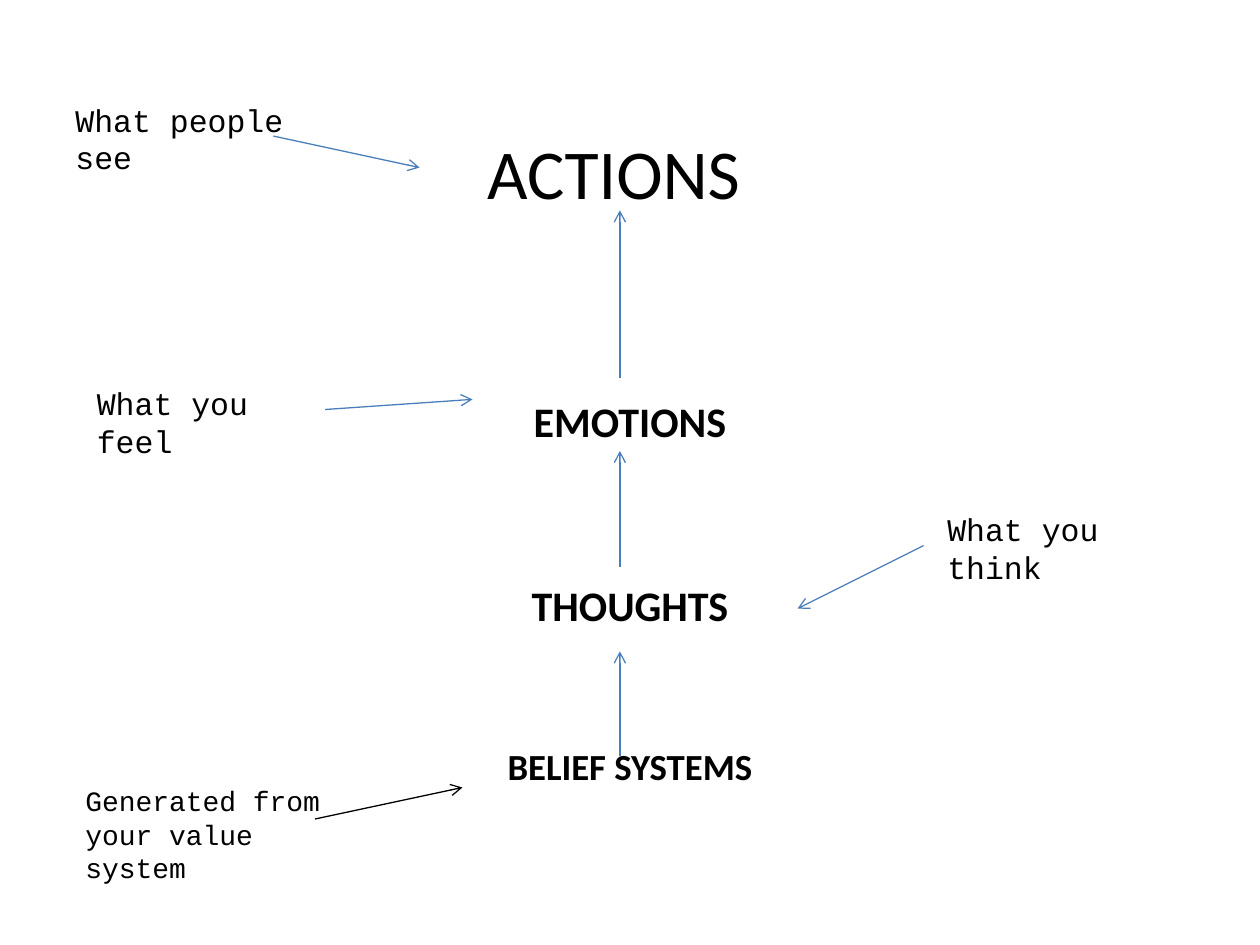
from typing import NamedTuple

from lxml import etree
from pptx import Presentation
from pptx.dml.color import RGBColor
from pptx.enum import shapes, text
from pptx.oxml.ns import qn
from pptx.util import Inches, Pt

BLACK, BLUE = "000000", "4A7EBB"
AXIS_X = 4.92


class Level(NamedTuple):
    text: str
    size: float
    space_before: float


class Note(NamedTuple):
    text: str
    left: float
    top: float
    width: float
    height: float
    size: float = 18


class Arrow(NamedTuple):
    x1: float
    y1: float
    x2: float
    y2: float
    color: str = BLUE


LEVELS = [
    Level("EMOTIONS", 24, 0),
    Level("THOUGHTS", 24, 81.7),
    Level("BELIEF SYSTEMS", 21, 70.1),
]
NOTES = [
    Note("What people see", 0.5, 0.75, 2, 0.7),
    Note("What you feel", 0.67, 3, 2.08, 0.7),
    Note("What you think", 7.42, 4, 2.17, 0.7),
    Note("Generated from your value system", 0.58, 6.17, 2.17, 0.9, 16),
]
LEVEL_ARROWS = [Arrow(AXIS_X, start, AXIS_X, end)
                for start, end in [(6, 5.17), (4.5, 3.58), (3, 1.67)]]
NOTE_ARROWS = [
    Arrow(2.17, 1.08, 3.33, 1.33),
    Arrow(2.58, 3.25, 3.75, 3.17),
    Arrow(7.33, 4.33, 6.33, 4.83),
    Arrow(2.5, 6.5, 3.67, 6.25, BLACK),
]


def rgb(value: str) -> RGBColor:
    return RGBColor.from_string(value)


def place(sp, left: float, top: float, width: float, height: float) -> None:
    box = {"left": left, "top": top, "width": width, "height": height}
    for name, value in box.items():
        setattr(sp, name, Inches(value))


def write(p, words: str, size: float, name: str, bold: bool = False) -> None:
    r = p.add_run()
    r.text = words
    for key, value in {"size": Pt(size), "name": name, "bold": bold}.items():
        setattr(r.font, key, value)
    r.font.color.rgb = rgb(BLACK)


def set_frame(tf, auto_size) -> None:
    frame = {"word_wrap": True, "auto_size": auto_size,
             "vertical_anchor": text.MSO_ANCHOR.TOP}
    for key, value in frame.items():
        setattr(tf, key, value)


def add_title(sp) -> None:
    place(sp, 0.62, 0.98, 8.5, 1.42)
    set_frame(sp.text_frame, text.MSO_AUTO_SIZE.NONE)
    p = sp.text_frame.paragraphs[0]
    p.alignment = text.PP_ALIGN.CENTER
    write(p, "ACTIONS", 40, "Calibri")


def add_levels(sp) -> None:
    place(sp, 1.5, 3.17, 7, 3.5)
    tf = sp.text_frame
    set_frame(tf, text.MSO_AUTO_SIZE.NONE)
    for i, level in enumerate(LEVELS):
        p = tf.add_paragraph() if i else tf.paragraphs[0]
        layout = {"alignment": text.PP_ALIGN.CENTER, "line_spacing": 0.8,
                  "space_before": Pt(level.space_before)}
        for key, value in layout.items():
            setattr(p, key, value)
        write(p, level.text, level.size, "Calibri", bold=True)


def add_note(slide, note: Note) -> None:
    box = map(Inches, (note.left, note.top, note.width, note.height))
    tf = slide.shapes.add_textbox(*box).text_frame
    set_frame(tf, text.MSO_AUTO_SIZE.SHAPE_TO_FIT_TEXT)
    write(tf.paragraphs[0], note.text, note.size, "Courier New")


def add_arrow(slide, arrow: Arrow) -> None:
    ends = map(Inches, (arrow.x1, arrow.y1, arrow.x2, arrow.y2))
    line = slide.shapes.add_connector(shapes.MSO_CONNECTOR.STRAIGHT, *ends)
    line.line.color.rgb = rgb(arrow.color)
    line.line.width = Pt(0.75)
    etree.SubElement(line.line._get_or_add_ln(), qn("a:tailEnd"), type="arrow")
    etree.SubElement(line._element.spPr, qn("a:effectLst"))


def main() -> None:
    prs = Presentation()
    prs.slide_width, prs.slide_height = Inches(10), Inches(7.5)
    s = prs.slides.add_slide(prs.slide_layouts[0])
    add_title(s.shapes.title)
    add_levels(s.placeholders[1])
    for arrow in LEVEL_ARROWS:
        add_arrow(s, arrow)
    for note in NOTES:
        add_note(s, note)
    for arrow in NOTE_ARROWS:
        add_arrow(s, arrow)
    prs.save("out.pptx")


if __name__ == "__main__":
    main()
